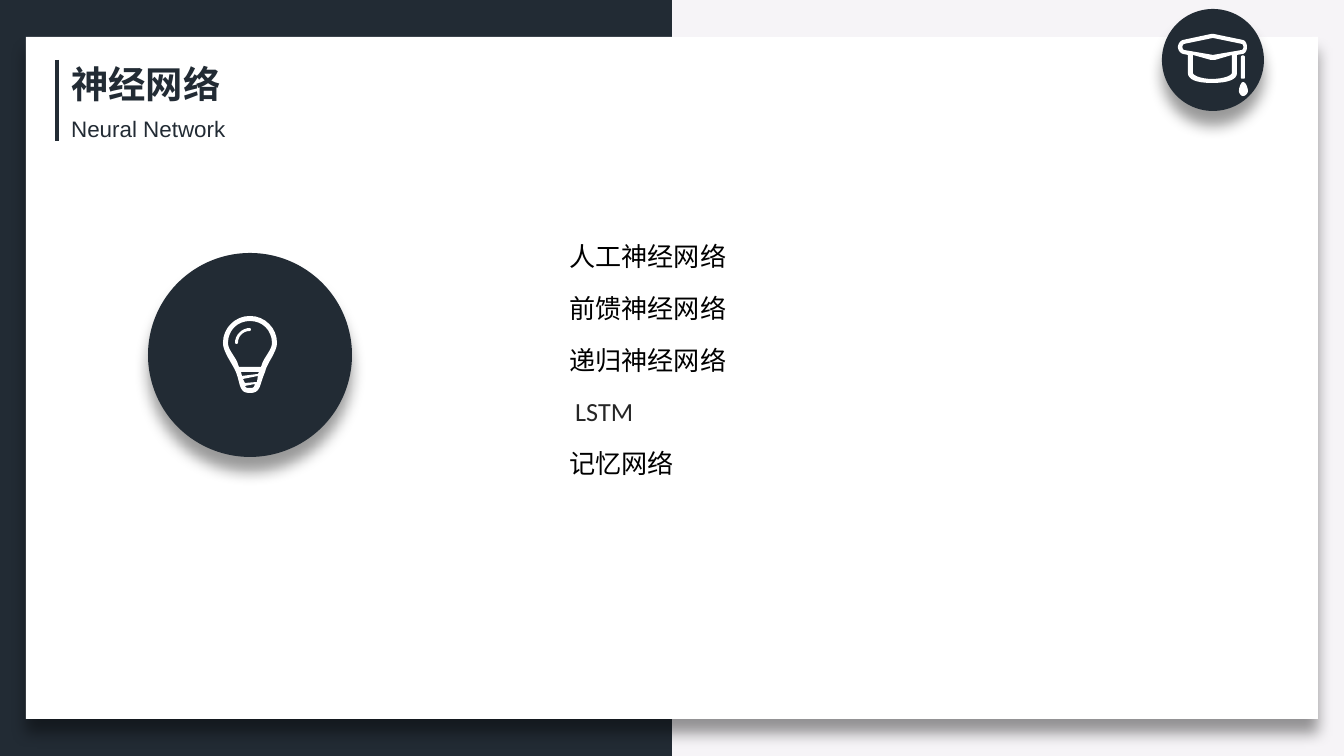
from lxml import etree
from pptx import Presentation
from pptx import util as u
from pptx.dml.color import RGBColor
from pptx.enum import shapes, text
from pptx.oxml.ns import qn

PX = 914400 / 134.4
NAVY, WHITE, GREY, BLACK = "222B34", "FFFFFF", "262626", "000000"
rgb = RGBColor.from_string


def add_shape(parent, kind, box, fill, shadow=False):
    sp = parent.add_shape(kind, *[round(v * PX) for v in box])
    sp.fill.solid()
    sp.fill.fore_color.rgb = rgb(fill)
    sp.line.fill.background()
    sp.shadow.inherit = False
    if shadow:
        effects = sp._element.spPr.find(qn("a:effectLst"))
        outer = etree.SubElement(effects, qn("a:outerShdw"), blurRad=str(u.Pt(8)),
                                 dist=str(u.Pt(8)), dir="5400000", algn="t", rotWithShape="0")
        color = etree.SubElement(outer, qn("a:srgbClr"), val=BLACK)
        etree.SubElement(color, qn("a:alpha"), val="40000")
    return sp


def add_outline(parent, contours):
    """Draw white contours in px; a pair is a corner, a six-tuple a cubic curve."""
    fb = None
    for start, *steps in contours:
        points, last = [], start
        for step in steps:
            if len(step) == 2:
                points.append(step)
            else:
                knots = [last, step[:2], step[2:4], step[4:]]
                for t in (n / 8 for n in range(1, 9)):
                    weights = ((1 - t) ** 3, 3 * t * (1 - t) ** 2, 3 * t * t * (1 - t), t ** 3)
                    points.append(tuple(sum(w * k[i] for w, k in zip(weights, knots))
                                        for i in (0, 1)))
            last = step[-2:]
        # tenths of a px keep the curves smooth
        if fb is None:
            fb = parent.build_freeform(start[0] * 10, start[1] * 10, scale=PX / 10)
        else:
            fb.move_to(start[0] * 10, start[1] * 10)
        fb.add_line_segments([(x * 10, y * 10) for x, y in points], close=True)
    sp = fb.convert_to_shape()
    sp.fill.solid()
    sp.fill.fore_color.rgb = rgb(WHITE)
    sp.line.fill.background()
    sp.shadow.inherit = False


prs = Presentation()
prs.slide_width, prs.slide_height = round(1344 * PX), round(756 * PX)
s = prs.slides.add_slide(prs.slide_layouts[6])
s.background.fill.solid()
s.background.fill.fore_color.rgb = rgb("F6F4F7")

# Backdrop and card
RECT, OVAL = shapes.MSO_SHAPE.RECTANGLE, shapes.MSO_SHAPE.OVAL
add_shape(s.shapes, RECT, (0, 0, 672, 756), NAVY)
add_shape(s.shapes, RECT, (26, 37, 1292, 682), WHITE, shadow=True)
bar = s.shapes.add_connector(shapes.MSO_CONNECTOR.STRAIGHT,
                             *[round(v * PX) for v in (57, 60, 57, 141)])
bar.line.color.rgb = rgb(NAVY)
bar.line.width = u.Pt(2.25)
etree.SubElement(bar._element.spPr, qn("a:effectLst"))

# Graduation cap badge
badge = s.shapes.add_group_shape().shapes
add_shape(badge, OVAL, (1162, 9, 102, 102), NAVY, shadow=True)
cap = [
    [(1247, 47), (1247, 44, 1246, 41, 1243, 40), (1214, 34), (1211, 34), (1183, 40),
     (1180, 41, 1178, 44, 1178, 47), (1178, 50, 1180, 53, 1183, 54), (1188, 55), (1188, 73),
     (1188, 79, 1195, 83, 1212, 83), (1230, 83, 1237, 79, 1237, 73), (1237, 55), (1243, 54),
     (1246, 53, 1247, 50, 1247, 47)],
    [(1213, 55), (1184, 50), (1182, 49, 1182, 45, 1184, 44), (1213, 38), (1242, 44),
     (1244, 45, 1244, 49, 1242, 50)],
    [(1232, 55), (1232, 73), (1232, 75, 1225, 79, 1212, 79), (1200, 79, 1193, 75, 1193, 73),
     (1193, 55), (1211, 60), (1215, 60)],
]
cord = [(1241, 57), (1241, 78), (1241, 79, 1245, 79, 1245, 78), (1245, 57),
        (1245, 55, 1241, 55, 1241, 57)]
tassel = [(1243, 82), (1241, 82, 1239, 88, 1239, 91), (1239, 93, 1241, 96, 1243, 96),
          (1246, 96, 1248, 93, 1248, 91), (1248, 88, 1246, 82, 1243, 82)]
for contours in (cap, [cord], [tassel]):
    add_outline(badge, contours)

# Text
NOTO = "Noto Sans CJK SC"
topics = ["人工神经网络", "前馈神经网络", "递归神经网络", "LSTM", "记忆网络"]
boxes = [
    ((58, 55, 177, 103), False, {}, [("神经网络", 0, NOTO, 20, True, NAVY)]),
    ((58, 109, 183, 40), False, {}, [("Neural Network", 0, "Arial", 12, False, NAVY)]),
    ((504, 224, 633, 261), True, {"line_spacing": 1.3, "space_before": u.Pt(6)},
     [(t, 58 if t == "LSTM" else 52, "Calibri", 14, False, GREY if t == "LSTM" else BLACK)
      for t in topics]),
]
for box, wrap, spacing, lines in boxes:
    tf = s.shapes.add_textbox(*[round(v * PX) for v in box]).text_frame
    tf.word_wrap = wrap
    tf.auto_size = text.MSO_AUTO_SIZE.SHAPE_TO_FIT_TEXT
    for i, (words, indent, font, size, bold, color) in enumerate(lines):
        p = tf.add_paragraph() if i else tf.paragraphs[0]
        for name, value in spacing.items():
            if i or name != "space_before":
                setattr(p, name, value)
        if indent:
            p._p.get_or_add_pPr().set("indent", str(round(indent * PX)))
        r = p.add_run()
        r.text = words
        for name, value in {"name": font, "size": u.Pt(size), "bold": bold}.items():
            setattr(r.font, name, value)
        r.font.color.rgb = rgb(color)
        etree.SubElement(r._r.get_or_add_rPr(), qn("a:ea"), typeface=font)

# Light bulb
add_shape(s.shapes, OVAL, (148, 253, 204, 204), NAVY, shadow=True)
bulb = [
    [(250, 316), (235, 316, 223, 328, 223, 343), (223, 352, 232, 363, 236, 372),
     (241, 386, 239, 393, 250, 393), (261, 393, 259, 386, 265, 372),
     (267, 363, 277, 352, 277, 343), (277, 328, 265, 316, 250, 316)],
    [(261, 367), (239, 367), (238, 364, 237, 361, 235, 358), (232, 353, 228, 348, 228, 343),
     (228, 330, 238, 321, 250, 321), (262, 321, 272, 330, 272, 343),
     (272, 348, 268, 353, 265, 358), (263, 361, 262, 364, 261, 367)],
    [(242, 376), (241, 372), (259, 372), (258, 374)],
    [(257, 382), (245, 383), (243, 379), (258, 376)],
    [(250, 388), (247, 388, 246, 388, 245, 386), (255, 384), (254, 388, 253, 388, 250, 388)],
]
glint = [(250, 328), (242, 328, 235, 335, 235, 343), (235, 344, 238, 344, 238, 343),
         (238, 336, 243, 331, 250, 331), (251, 331, 251, 328, 250, 328)]
lamp = s.shapes.add_group_shape().shapes
for contours in (bulb, [glint]):
    add_outline(lamp, contours)

prs.save("out.pptx")
